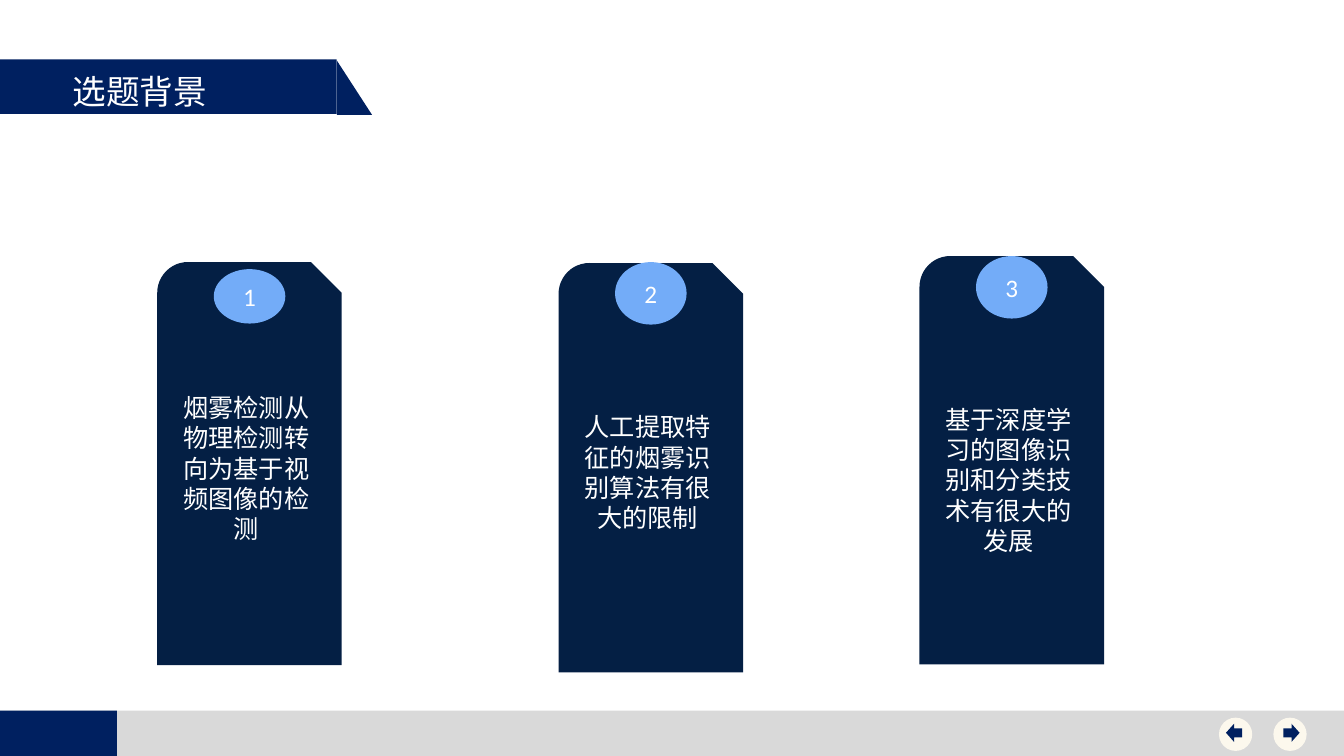
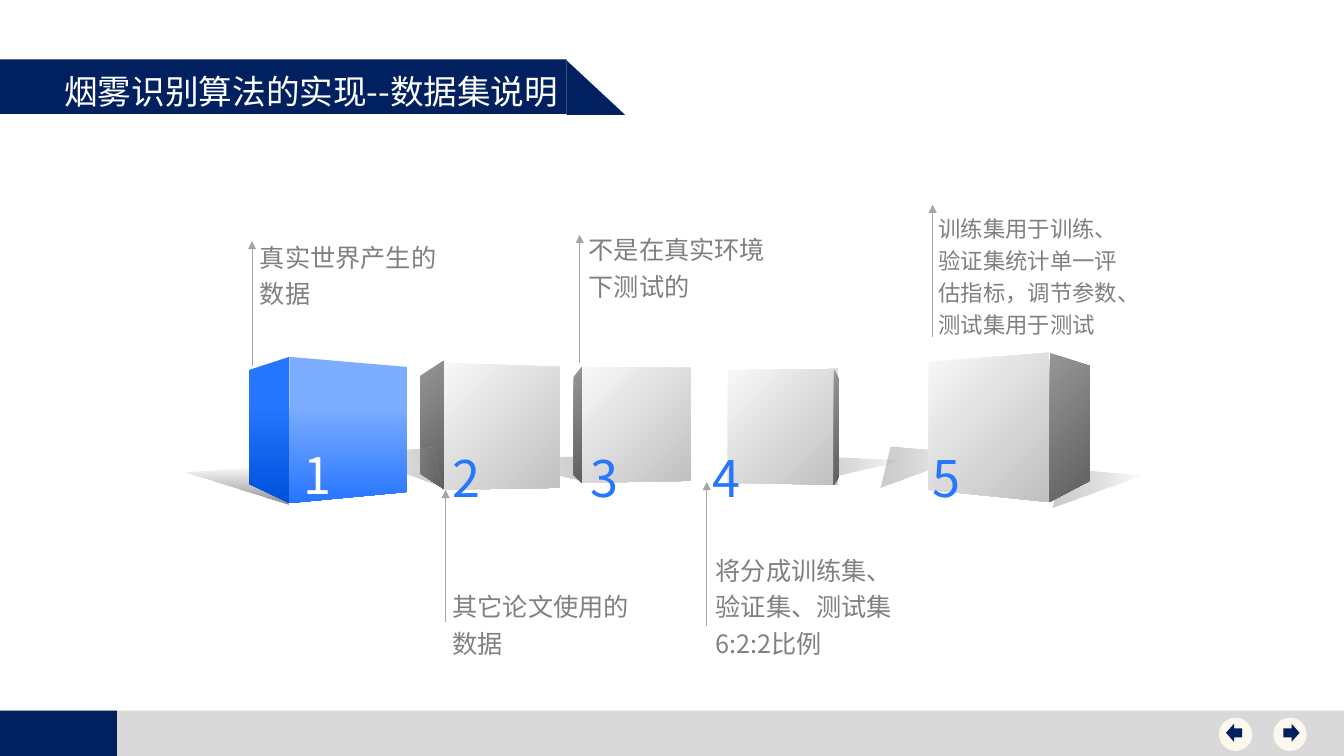
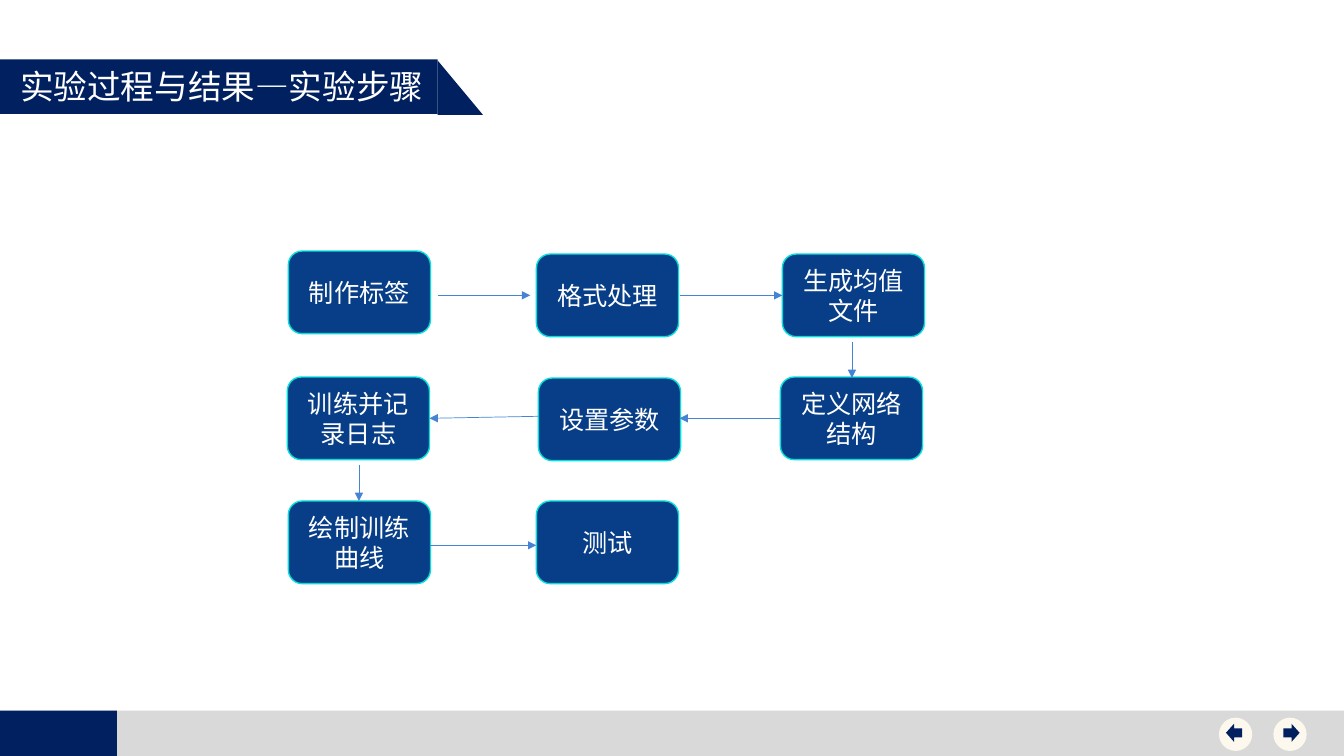
import pptx
import pptx.util
import pptx.dml.color
import pptx.enum.shapes
import pptx.enum.text
import pptx.oxml
import pptx.oxml.ns
import lxml.etree

Inches = pptx.util.Inches
Pt = pptx.util.Pt
RGBColor = pptx.dml.color.RGBColor
Shape = pptx.enum.shapes.MSO_SHAPE
Anchor = pptx.enum.text.MSO_ANCHOR
Align = pptx.enum.text.PP_ALIGN
qn = pptx.oxml.ns.qn

NAVY = RGBColor(0x00, 0x20, 0x60)
FOOTER_GREY = RGBColor(0xD9, 0xD9, 0xD9)
CREAM = RGBColor(0xFC, 0xF8, 0xED)
WHITE = RGBColor(0xFF, 0xFF, 0xFF)
BLACK = RGBColor(0x00, 0x00, 0x00)
CARD_NAVY = RGBColor(0x04, 0x1F, 0x44)
BADGE_BLUE = RGBColor(0x73, 0xAC, 0xF8)
STEP_BLUE = RGBColor(0x07, 0x3E, 0x87)
STEP_EDGE = RGBColor(0x05, 0xE0, 0xDB)
FLOW_BLUE = RGBColor(0x45, 0x84, 0xD3)
POINTER_GREY = RGBColor(0xA6, 0xA6, 0xA6)
CALLOUT_GREY = RGBColor(0x80, 0x80, 0x80)
CUBE_BLUE = RGBColor(0x26, 0x76, 0xFF)
CUBE_LIGHT = RGBColor(0x7D, 0xAD, 0xFF)
CUBE_DARK = RGBColor(0x00, 0x51, 0xDC)
FACE_LIGHT = RGBColor(0xF8, 0xF8, 0xF8)
FACE_DARK = RGBColor(0xC0, 0xC0, 0xC0)
SIDE_LIGHT = RGBColor(0x96, 0x96, 0x96)
SIDE_DARK = RGBColor(0x5F, 0x5F, 0x5F)
SHADE_GREY = RGBColor(0x66, 0x66, 0x66)

CJK_FONT = "Noto Sans CJK SC"
DIGIT_FONT = "Calibri"

FACE = ((0, FACE_LIGHT, 100), (100, FACE_DARK, 100))
SIDE = ((0, SIDE_LIGHT, 100), (100, SIDE_DARK, 100))
CAST = ((0, WHITE, 50), (100, SHADE_GREY, 34))
BLUE_CAST = ((0, BLACK, 0), (100, BLACK, 46))
BLUE_FACE = ((33, CUBE_LIGHT, 100), (100, CUBE_BLUE, 100))
BLUE_SIDE = ((33, CUBE_BLUE, 100), (100, CUBE_DARK, 100))


def add_block(slide, kind, at, fill, edge=None):
    block = slide.shapes.add_shape(kind, *map(Inches, at))
    block.shadow.inherit = False
    block.fill.solid()
    block.fill.fore_color.rgb = fill
    if edge is None:
        block.line.fill.background()
    else:
        block.line.color.rgb = edge
        block.line.width = Pt(1)
    return block


def write(box, text, size, color, font=CJK_FONT, align=Align.LEFT, anchor=Anchor.TOP):
    frame = box.text_frame
    frame.word_wrap = True
    frame.vertical_anchor = anchor
    para = frame.paragraphs[0]
    para.alignment = align
    span = para.add_run()
    span.text = text
    span.font.size = Pt(size)
    span.font.color.rgb = color
    span.font.name = font
    for latin in box.element.iter(qn("a:latin")):
        east_asian = pptx.oxml.parse_xml(
            '<a:ea xmlns:a="http://schemas.openxmlformats.org/drawingml/2006/main"/>')
        east_asian.set("typeface", font)
        latin.addnext(east_asian)
    return para


def write_centred(box, text, size=18, font=CJK_FONT):
    write(box, text, size, WHITE, font, Align.CENTER, Anchor.MIDDLE)


def add_text(slide, at, text, size, color, spacing=None):
    box = slide.shapes.add_textbox(*map(Inches, at))
    para = write(box, text, size, color)
    if spacing:
        para.line_spacing = spacing
    return box


def add_numeral(slide, at, text, color, wrap=False, anchor=Anchor.TOP):
    box = slide.shapes.add_textbox(*map(Inches, at))
    write(box, text, 36, color, CJK_FONT, Align.CENTER, anchor)
    frame = box.text_frame
    frame.word_wrap = wrap
    frame.margin_left = frame.margin_right = frame.margin_top = frame.margin_bottom = 0


def add_arrow(slide, start, end, color, width):
    arrow = slide.shapes.add_connector(
        pptx.enum.shapes.MSO_CONNECTOR.STRAIGHT, *map(Inches, start + end))
    arrow.line.color.rgb = color
    arrow.line.width = Pt(width)
    properties = arrow.element.spPr
    lxml.etree.SubElement(properties.find(qn("a:ln")), qn("a:tailEnd"), type="triangle")
    lxml.etree.SubElement(properties, qn("a:effectLst"))


def add_polygon(slide, points, stops, angle):
    corners = [(Inches(x), Inches(y)) for x, y in points]
    builder = slide.shapes.build_freeform(*corners[0], scale=1.0)
    builder.add_line_segments(corners[1:], close=True)
    polygon = builder.convert_to_shape()
    polygon.shadow.inherit = False
    polygon.line.fill.background()
    polygon.fill.gradient()
    polygon.fill.gradient_angle = (360 - angle) % 360
    for target, (position, color, opacity) in zip(polygon.fill.gradient_stops, stops):
        target.color.rgb = color
        target.position = position / 100
    for node, (_, _, opacity) in zip(polygon.element.iter(qn("a:gs")), stops):
        if opacity < 100:
            lxml.etree.SubElement(node[0], qn("a:alpha"), val=str(opacity * 1000))


def add_cast(slide, base, tip, top):
    add_polygon(slide, (base, tip, top), CAST, 180 if tip[0] > base[0] else 0)


def add_footer_to_layout(slide, layout):
    for placeholder in list(layout.placeholders):
        placeholder.element.getparent().remove(placeholder.element)
    for width, color in ((13.33, FOOTER_GREY), (1.16, NAVY)):
        bar = add_block(slide, Shape.RECTANGLE, (0, 7.05, width, 0.46), color)
        layout.element.cSld.spTree.append(bar.element)


def add_frame(slide, title, band_width, tip_width, title_at):
    add_block(slide, Shape.RECTANGLE, (0, 0.59, band_width, 0.54), NAVY)
    add_block(slide, Shape.RIGHT_TRIANGLE, (band_width, 0.6, tip_width, 0.54), NAVY)
    add_text(slide, title_at, title, 24, WHITE)
    for circle_left, arrow_left, kind in ((12.63, 12.73, Shape.RIGHT_ARROW),
                                          (12.09, 12.16, Shape.LEFT_ARROW)):
        add_block(slide, Shape.OVAL, (circle_left, 7.12, 0.33, 0.33), CREAM)
        add_block(slide, kind, (arrow_left, 7.18, 0.16, 0.18), NAVY)


def add_card(slide, number, text, left, top, height, badge_top, badge_height, drop):
    card = add_block(slide, Shape.SNIP_ROUND_RECTANGLE, (left, top, 1.83, height), CARD_NAVY)
    write_centred(card, text)
    card.text_frame.margin_top = Inches(0.05 + drop)
    badge = add_block(slide, Shape.OVAL,
                      (left + 0.56, badge_top, 0.71, badge_height), BADGE_BLUE)
    write_centred(badge, number, font=DIGIT_FONT)


def add_callout(slide, at, text, size, pointer_x, pointer_from, pointer_to):
    add_text(slide, at, text, size, CALLOUT_GREY, 1.2)
    add_arrow(slide, (pointer_x, pointer_from), (pointer_x, pointer_to), POINTER_GREY, 0.75)


def build_background(slide):
    add_frame(slide, "选题背景", 3.34, 0.35, (0.62, 0.65, 3.08, 0.5))
    add_card(slide, "1", "烟雾检测从物理检测转向为基于视频图像的检测",
             1.56, 2.6, 4, 2.67, 0.54, 0)
    add_card(slide, "2", "人工提取特征的烟雾识别算法有很大的限制",
             5.54, 2.61, 4.06, 2.6, 0.62, 0)
    add_card(slide, "3", "基于深度学习的图像识别和分类技术有很大的发展",
             9.12, 2.54, 4.05, 2.54, 0.62, 0.3)


def build_dataset(slide):
    add_frame(slide, "烟雾识别算法的实现--数据集说明", 5.62, 0.58, (0.54, 0.65, 5.67, 0.5))
    for base, tip, top in (
            ((8.05, 4.78), (8.98, 4.57), (8.15, 4.53)),
            ((8.73, 4.84), (9.65, 4.5), (8.83, 4.43)),
            ((10.44, 5.03), (11.33, 4.72), (10.54, 4.65)),
            ((5.81, 4.78), (4.87, 4.57), (5.71, 4.53))):
        add_cast(slide, base, tip, top)
    for stops, points in (
            (FACE, ((4.39, 3.6), (4.39, 4.86), (5.55, 4.84), (5.55, 3.64))),
            (SIDE, ((4.17, 3.73), (4.17, 4.7), (4.4, 4.85), (4.4, 3.58))),
            (FACE, ((6.85, 4.77), (5.77, 4.79), (5.77, 3.64), (6.85, 3.65))),
            (SIDE, ((5.69, 3.74), (5.69, 4.71), (5.77, 4.79), (5.77, 3.64))),
            (FACE, ((10.4, 3.5), (10.4, 4.98), (9.21, 4.86), (9.21, 3.59))),
            (SIDE, ((10.81, 3.63), (10.81, 4.77), (10.41, 4.98), (10.41, 3.5))),
            (FACE, ((7.22, 4.79), (8.31, 4.81), (8.31, 3.66), (7.22, 3.67))),
            (SIDE, ((8.32, 3.76), (8.32, 4.73), (8.27, 4.81), (8.27, 3.66)))):
        add_polygon(slide, points, stops, 45)
    add_callout(slide, (5.74, 2.22, 2.03, 0.8), "不是在真实环境下测试的", 18, 5.75, 3.6, 2.33)
    add_callout(slide, (4.39, 5.76, 2.03, 0.8), "其它论文使用的数据", 18, 4.42, 6.17, 4.86)
    add_callout(slide, (7, 5.4, 2.03, 1.16), "将分成训练集、验证集、测试集6:2:2比例",
                18, 7.01, 6.21, 4.78)
    add_callout(slide, (9.21, 2.03, 2.03, 1.37),
                "训练集用于训练、验证集统计单一评估指标，调节参数、测试集用于测试",
                16, 9.25, 3.34, 2.03)
    for number, left in (("2", 4.49), ("3", 5.86), ("4", 7.07), ("5", 9.25)):
        add_numeral(slide, (left, 4.44, 0.19, 0.3), number, CUBE_BLUE)
    add_cast(slide, (4.38, 4.83), (3.49, 4.51), (4.29, 4.44))
    add_polygon(slide, ((2.86, 5), (1.84, 4.69), (2.76, 4.62)), BLUE_CAST, 90)
    add_polygon(slide, ((2.87, 3.54), (2.87, 4.99), (4.04, 4.88), (4.04, 3.64)), BLUE_FACE, 90)
    add_polygon(slide, ((2.47, 3.67), (2.47, 4.8), (2.87, 4.99), (2.87, 3.54)), BLUE_SIDE, 90)
    add_callout(slide, (2.48, 2.29, 1.99, 0.8), "真实世界产生的数据", 18, 2.5, 3.63, 2.39)
    add_numeral(slide, (3.01, 4.56, 0.14, 0.29), "1", WHITE, True, Anchor.MIDDLE)


def build_steps(slide):
    add_frame(slide, "实验过程与结果—实验步骤", 4.34, 0.45, (0.1, 0.6, 4.49, 0.5))
    for text, left, top in (
            ("制作标签", 2.86, 2.49), ("格式处理", 5.32, 2.52), ("生成均值文件", 7.76, 2.52),
            ("定义网络结构", 7.74, 3.74), ("设置参数", 5.34, 3.75), ("训练并记录日志", 2.85, 3.74),
            ("绘制训练曲线", 2.86, 4.97), ("测试", 5.32, 4.97)):
        step = add_block(slide, Shape.ROUNDED_RECTANGLE, (left, top, 1.41, 0.82),
                         STEP_BLUE, STEP_EDGE)
        write_centred(step, text)
    for start, end in (
            ((4.34, 2.93), (5.26, 2.93)), ((6.74, 2.93), (7.76, 2.93)),
            ((8.45, 3.39), (8.45, 3.75)), ((7.74, 4.15), (6.74, 4.15)),
            ((5.34, 4.13), (4.26, 4.15)), ((3.56, 4.61), (3.56, 4.97)),
            ((4.26, 5.41), (5.32, 5.41))):
        add_arrow(slide, start, end, FLOW_BLUE, 0.5)


def main():
    deck = pptx.Presentation()
    deck.slide_width = Inches(13.33)
    deck.slide_height = Inches(7.5)
    blank = deck.slide_layouts[6]
    pages = [deck.slides.add_slide(blank) for _ in range(3)]
    add_footer_to_layout(pages[0], blank)
    for build, page in zip((build_background, build_dataset, build_steps), pages):
        build(page)
    deck.save("out.pptx")


if __name__ == "__main__":
    main()
